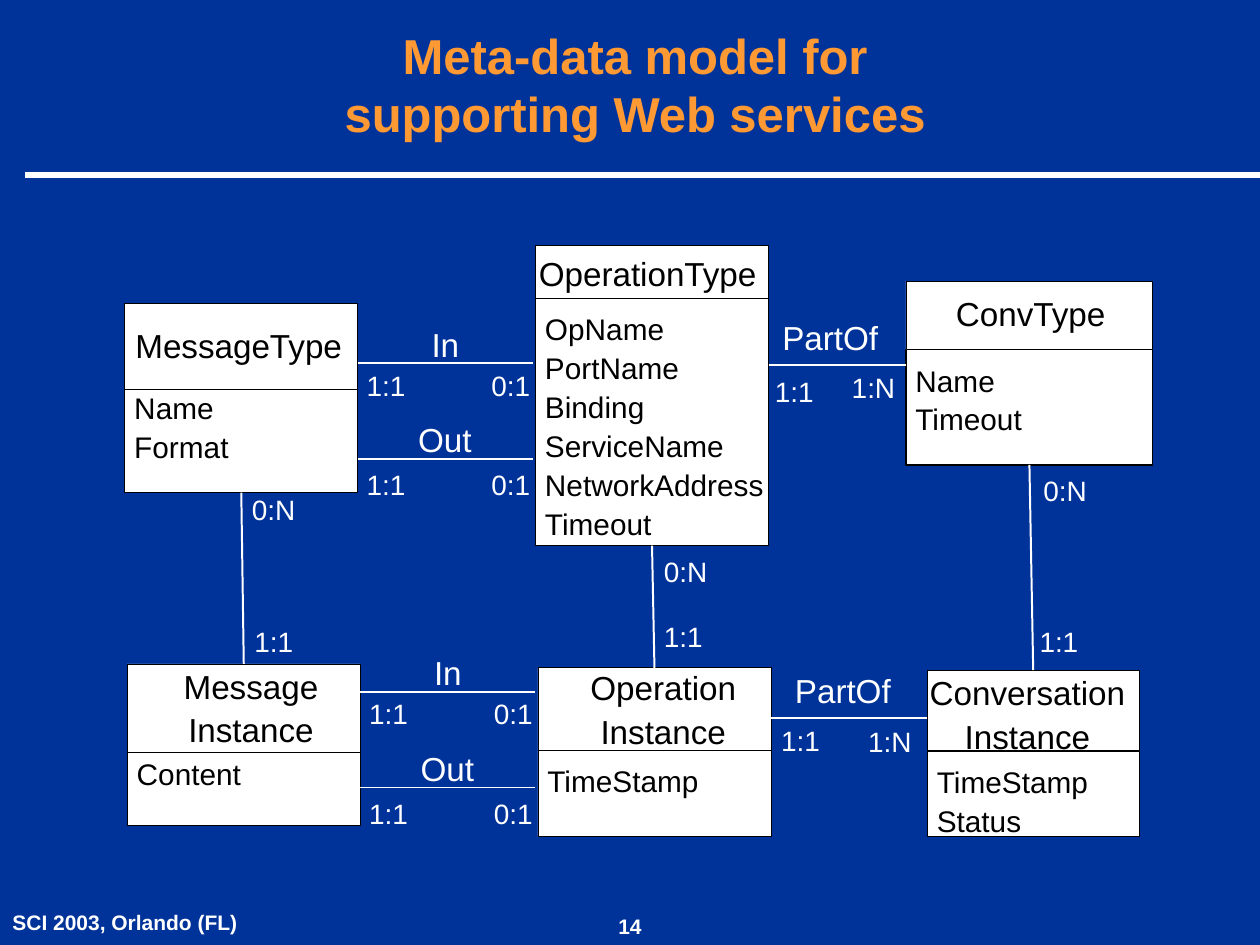
from lxml.etree import SubElement
from pptx import Presentation
from pptx.dml.color import RGBColor
from pptx.enum.shapes import MSO_CONNECTOR, MSO_SHAPE
from pptx.enum.text import MSO_ANCHOR, MSO_AUTO_SIZE, PP_ALIGN
from pptx.oxml.ns import qn
from pptx.util import Pt

COLORS = {"background": "003399", "title": "FF9933", "light": "FFFFFF", "dark": "000000"}
LABEL_WIDTHS = {"In": 15.8, "Out": 31, "PartOf": 54.7,
                "1:1": 22.3, "0:1": 22.3, "0:N": 25.2, "1:N": 25.2}


def color(name):
    return RGBColor.from_string(COLORS[name])


def write_text(frame, text, size=16, ink="light", bold=False, align=PP_ALIGN.LEFT,
               anchor=MSO_ANCHOR.TOP, wrap=True, gap=0, margins=(0, 0, 0, 0)):
    frame.word_wrap = wrap
    frame.auto_size = MSO_AUTO_SIZE.NONE
    frame.vertical_anchor = anchor
    (frame.margin_left, frame.margin_top,
     frame.margin_right, frame.margin_bottom) = map(Pt, margins)
    for index, line in enumerate(text.split("\n")):
        paragraph = frame.add_paragraph() if index else frame.paragraphs[0]
        paragraph.text = line
        paragraph.alignment = align
        paragraph.space_before = Pt(gap if index else 0)
        paragraph.font.name = "Arial"
        paragraph.font.size = Pt(size)
        paragraph.font.bold = bold
        paragraph.font.color.rgb = color(ink)


def add_text(slide, box, text, **style):
    write_text(slide.shapes.add_textbox(*map(Pt, box)).text_frame, text, **style)


def add_label(slide, left, top, text, size=16):
    add_text(slide, (left, top, LABEL_WIDTHS[text], size * 1.2), text, size=size, wrap=False)


def add_line(slide, start, end, width=1.13):
    line = slide.shapes.add_connector(MSO_CONNECTOR.STRAIGHT, *map(Pt, start + end))
    line.line.color.rgb = color("light")
    line.line.width = Pt(width)
    SubElement(line.element.spPr, qn("a:effectLst"))
    return line


def add_compartment(slide, box, border, text, **style):
    compartment = slide.shapes.add_shape(MSO_SHAPE.RECTANGLE, *map(Pt, box))
    compartment.shadow.inherit = False
    compartment.fill.solid()
    compartment.fill.fore_color.rgb = color("light")
    compartment.line.color.rgb = color("dark")
    compartment.line.width = Pt(border)
    write_text(compartment.text_frame, text, ink="dark", **style)
    return compartment


def add_entity(slide, box, header_height, name, attributes,
               name_shift, name_top, attributes_top, border=0.75):
    left, top, width, height = box
    body = add_compartment(
        slide, (left, top + header_height, width, height - header_height), border,
        attributes, size=17, gap=1.8, margins=(5.4, attributes_top, 0, 0))
    header = add_compartment(
        slide, (left, top, width, header_height), 0.37, name, size=19, gap=1.9,
        align=PP_ALIGN.CENTER,
        margins=(max(2 * name_shift, 0), name_top, max(-2 * name_shift, 0), 0))
    return header, body


def add_relation(slide, left, top, width, name, rise, start, end, shift=0):
    add_line(slide, (left, top), (left + width, top))
    add_label(slide, left + (width - LABEL_WIDTHS[name]) / 2 + shift, top - rise, name, size=19)
    start_text, start_pad, start_drop = start
    end_text, end_pad, end_drop = end
    add_label(slide, left + start_pad, top + start_drop, start_text)
    add_label(slide, left + width - LABEL_WIDTHS[end_text] - end_pad, top + end_drop, end_text)


def add_instance_link(slide, type_entity, instance_entity, many_offset, one_offset):
    type_body, instance_header = type_entity[1], instance_entity[0]
    link = add_line(slide, (0, 0), (0, 0))
    link.begin_connect(type_body, 2)
    link.end_connect(instance_header, 0)
    for text, x, y, offset in (("0:N", link.begin_x, link.begin_y, many_offset),
                               ("1:1", link.end_x, link.end_y, one_offset)):
        add_label(slide, x.pt + offset[0], y.pt + offset[1], text)


def add_frame(slide, width, height):
    slide.background.fill.solid()
    slide.background.fill.fore_color.rgb = color("background")
    add_line(slide, (14.4, 100), (width, 100), width=3)
    inset = (7.2, 3.6, 7.2, 3.6)
    add_text(slide, (0, height - 23.8, 257.8, 23.8), "SCI 2003, Orlando (FL)",
             size=12, bold=True, margins=inset)
    add_text(slide, (width / 2 - 36, height - 21.6, 72, 21.6), "14",
             size=12, bold=True, align=PP_ALIGN.CENTER, margins=inset)


def add_title(slide, box):
    title = slide.shapes.title
    title.left, title.top, title.width, title.height = map(Pt, box)
    write_text(title.text_frame, "Meta-data model for supporting Web services",
               size=28, ink="title", bold=True, align=PP_ALIGN.CENTER,
               anchor=MSO_ANCHOR.MIDDLE, margins=(7.2, 3.6, 7.2, 3.6))


def add_model(slide):
    message_type = add_entity(
        slide, (71.3, 173.5, 133.2, 108), 49, "MessageType", "Name\nFormat", -1.5, 12.2, 0)
    operation_type = add_entity(
        slide, (306, 140.4, 133.2, 171.4), 30.2, "OperationType",
        "OpName\nPortName\nBinding\nServiceName\nNetworkAddress\nTimeout", -2.5, 4.3, 7.2)
    conv_type = add_entity(
        slide, (517.7, 160.6, 141.1, 105.1), 39.2, "ConvType", "Name\nTimeout", 0.7, 7.2, 7.2)
    message = add_entity(
        slide, (72.7, 379.4, 133.2, 92.2), 50.4, "Message\nInstance", "Content", 4.1, 1.4, 2.2)
    operation = add_entity(
        slide, (307.4, 381.6, 133.2, 96.5), 47, "Operation\nInstance", "TimeStamp",
        5, 0, 7.2, border=0.37)
    conversation = add_entity(
        slide, (529.9, 383, 121, 95.1), 46.1, "Conversation\nInstance", "TimeStamp\nStatus",
        -3.3, 1.4, 7.2, border=0.37)

    for left, top in ((204.5, 207.4), (205.9, 395.3)):
        for name, step, drop in (("In", 0, 2.9), ("Out", 54.7, 5)):
            add_relation(slide, left, top + step, 100, name, 22.3,
                         ("1:1", 5, drop), ("0:1", 1.4, drop))
    add_relation(slide, 439.2, 208.8, 78.5, "PartOf", 27.4,
                 ("1:1", 3.6, 5), ("1:N", 5.8, 2.9), shift=-4)
    add_relation(slide, 440.6, 410.4, 89.3, "PartOf", 27.4,
                 ("1:1", 5.8, 2.9), ("1:N", 8.6, 3.6), shift=-3.6)

    add_instance_link(slide, message_type, message, (6, 0), (6.1, -22.3))
    add_instance_link(slide, operation_type, operation, (6.8, 5), (5.4, -27.4))
    add_instance_link(slide, conv_type, conversation, (7.9, 5), (3.6, -25.9))


def main():
    presentation = Presentation()
    presentation.slide_width, presentation.slide_height = Pt(720), Pt(540)
    slide = presentation.slides.add_slide(presentation.slide_layouts[5])
    add_frame(slide, 720, 540)
    add_title(slide, (149.8, 0, 426.2, 95.8))
    add_model(slide)
    presentation.save("out.pptx")


if __name__ == "__main__":
    main()
